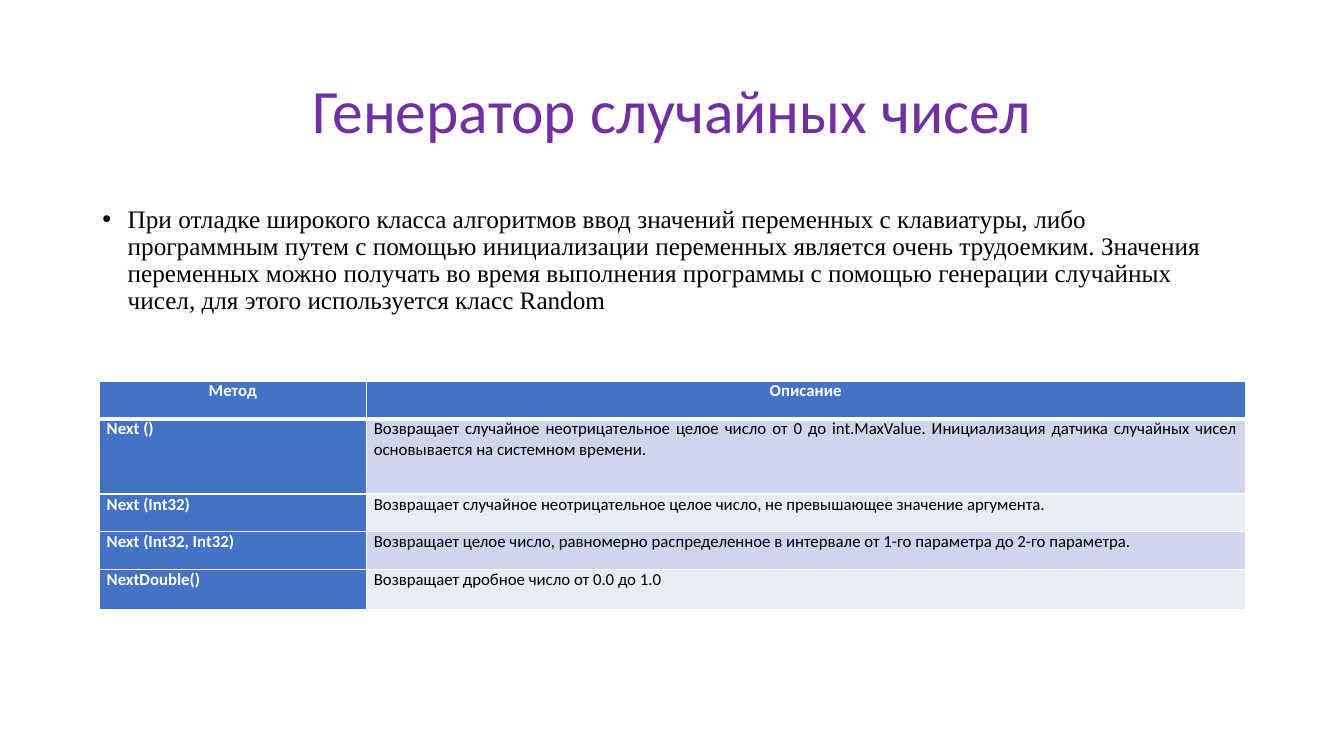
from lxml import etree
from pptx import Presentation
from pptx.dml.color import RGBColor
from pptx.enum.text import MSO_ANCHOR, MSO_AUTO_SIZE, PP_ALIGN
from pptx.oxml.ns import qn
from pptx.util import Cm, Pt

LEFT, MID, JUST = PP_ALIGN.LEFT, PP_ALIGN.CENTER, PP_ALIGN.JUSTIFY
TOP, CENTER = MSO_ANCHOR.TOP, MSO_ANCHOR.MIDDLE
FIXED = MSO_AUTO_SIZE.NONE

HEAD = "Генератор случайных чисел"
INTRO = (
    "При отладке широкого класса алгоритмов ввод значений переменных "
    "с клавиатуры, либо программным путем с помощью инициализации "
    "переменных является очень трудоемким. Значения переменных можно "
    "получать во время выполнения программы с помощью генерации случайных "
    "чисел, для этого используется класс Random"
)
ROWS = [
    ("Метод", "Описание"),
    ("Next ()",
     "Возвращает случайное неотрицательное целое число от 0 до int.MaxValue. "
     "Инициализация датчика случайных чисел основывается на системном времени."),
    ("Next (Int32)",
     "Возвращает случайное неотрицательное целое число, "
     "не превышающее значение аргумента."),
    ("Next (Int32, Int32)",
     "Возвращает целое число, равномерно распределенное в интервале "
     "от 1-го параметра до 2-го параметра."),
    ("NextDouble()", "Возвращает дробное число от 0.0 до 1.0"),
]
WIDTHS = [6.73, 22.15]
HEIGHTS = [0.95, 1.9, 0.95, 0.95, 1.02]


def color(code):
    return RGBColor.from_string(code)


def write(frame, text, font="Calibri", size=12, ink="000000", bold=False,
          align=LEFT, space=1.0, bullet=None):
    frame.word_wrap = True
    para = frame.paragraphs[0]
    if bullet:
        props = para._p.get_or_add_pPr()
        props.set("marL", str(Cm(0.64)))
        props.set("indent", str(-Cm(0.64)))
        etree.SubElement(props, qn("a:buFont"), typeface="Arial")
        etree.SubElement(props, qn("a:buChar"), char=bullet)
    para.alignment = align
    para.line_spacing = space
    run = para.add_run()
    run.text = text
    run.font.name = font
    run.font.size = Pt(size)
    run.font.bold = bold
    run.font.color.rgb = color(ink)


class Deck:
    white = "FFFFFF"
    blue = "4472C4"
    bands = ["CFD5EA", "E9EBF5"]
    purple = "7030A0"

    def __init__(self):
        self.show = Presentation()
        self.show.slide_width = Cm(33.87)
        self.show.slide_height = Cm(19.05)
        self.slide = self.show.slides.add_slide(self.show.slide_layouts[5])

    def title(self, text, x, y, w, h):
        shape = self.slide.shapes.title
        shape.left, shape.top, shape.width, shape.height = map(Cm, (x, y, w, h))
        frame = shape.text_frame
        frame.auto_size = FIXED
        frame.vertical_anchor = CENTER
        write(frame, text, size=44, ink=self.purple, align=MID, space=0.9)

    def body(self, text, x, y, w, h):
        box = self.slide.shapes.add_textbox(*map(Cm, (x, y, w, h)))
        write(box.text_frame, text, font="Times New Roman", size=18,
              space=0.9, bullet="•")

    def edge(self, cell, side, width):
        props = cell._tc.get_or_add_tcPr()
        line = etree.SubElement(props, qn("a:" + side), w=str(Pt(width)))
        fill = etree.SubElement(line, qn("a:solidFill"))
        etree.SubElement(fill, qn("a:srgbClr"), val=self.white)

    def cell(self, cell, text, row, col):
        head = row == 0
        dark = head or col == 0
        cell.margin_left = cell.margin_right = Cm(0.19)
        cell.margin_top = cell.margin_bottom = 0
        cell.vertical_anchor = TOP
        write(cell.text_frame, text, ink=self.white if dark else "000000",
              bold=dark, align=MID if head else JUST)
        self.edge(cell, "lnL", 1)
        self.edge(cell, "lnR", 1)
        self.edge(cell, "lnT", 3 if row == 1 else 1)
        self.edge(cell, "lnB", 3 if head else 1)
        cell.fill.solid()
        tint = self.blue if dark else self.bands[(row - 1) % 2]
        cell.fill.fore_color.rgb = color(tint)

    def table(self, rows, x, y, widths, heights):
        size = map(Cm, (x, y, sum(widths), sum(heights)))
        grid = self.slide.shapes.add_table(len(rows), len(widths), *size).table
        for part, width in zip(grid.columns, widths):
            part.width = Cm(width)
        for part, height in zip(grid.rows, heights):
            part.height = Cm(height)
        for r, row in enumerate(rows):
            for c, text in enumerate(row):
                self.cell(grid.cell(r, c), text, r, c)


def main():
    deck = Deck()
    deck.title(HEAD, 2.33, 1.01, 29.21, 3.68)
    deck.body(INTRO, 2.33, 5.08, 29.21, 12.09)
    deck.table(ROWS, 2.5, 9.6, WIDTHS, HEIGHTS)
    deck.show.save("out.pptx")


if __name__ == "__main__":
    main()
